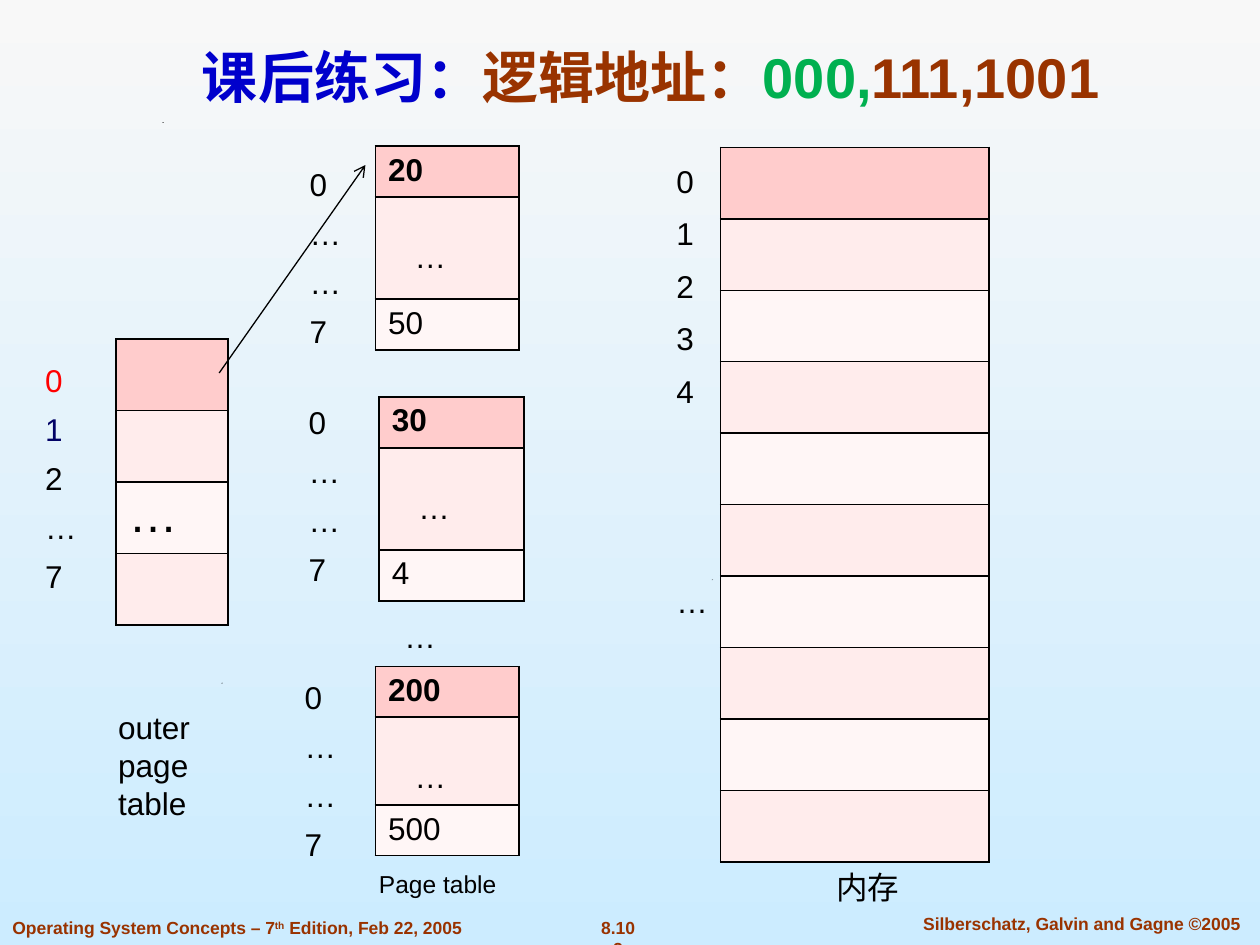
"""Build the two-level paging exercise slide."""
from dataclasses import dataclass
from typing import Optional

from lxml.etree import SubElement
from pptx import Presentation
from pptx.dml.color import RGBColor
from pptx.enum.shapes import MSO_CONNECTOR
from pptx.enum.text import MSO_ANCHOR, MSO_AUTO_SIZE, PP_ALIGN
from pptx.oxml.ns import qn
from pptx.util import Inches, Pt


@dataclass(frozen=True)
class Theme:
    font: str = "Arial"
    black: str = "000000"
    red: str = "FF0000"
    navy: str = "020266"
    blue: str = "0000CC"
    brown: str = "993300"
    green: str = "00B050"
    top: str = "F8F8F8"
    bottom: str = "CCECFF"
    head: str = "FFCCCC"
    bands: tuple = ("FFF6F6", "FFECEC")
    title: int = 32
    big: int = 28
    body: int = 18
    caption: int = 14
    footer: int = 10


T = Theme()


@dataclass(frozen=True)
class Run:
    text: str
    color: str = T.black
    size: int = T.body
    bold: bool = False
    raised: bool = False


@dataclass(frozen=True)
class Box:
    left: float
    top: float
    width: float
    height: float

    def emu(self) -> tuple:
        return tuple(grid(v) for v in (self.left, self.top, self.width, self.height))


@dataclass(frozen=True)
class Cell:
    run: Optional[Run] = None
    left: float = 1
    top: float = 0.5


@dataclass(frozen=True)
class PageTable:
    box: Box
    first: str
    last: str
    shares: tuple
    labels: Box


def grid(n: float) -> int:
    """Length of n cells on a grid of 100 columns by 75 rows."""
    return Inches(n / 10)


def rgb(color: str) -> RGBColor:
    return RGBColor.from_string(color)


def add_runs(p, *runs: Run) -> None:
    for run in runs:
        r = p.add_run()
        r.text = run.text
        f = r.font
        f.name, f.size, f.bold = T.font, Pt(run.size), run.bold
        f.color.rgb = rgb(run.color)
        if run.raised:
            r._r.get_or_add_rPr().set("baseline", "30000")


def add_text(s, box: Box, lines: list, align=PP_ALIGN.LEFT, spacing=None,
             wrap=True, left: float = 1):
    tf = s.shapes.add_textbox(*box.emu()).text_frame
    tf.word_wrap = wrap
    tf.margin_left = grid(left)
    for i, runs in enumerate(lines):
        p = tf.add_paragraph() if i else tf.paragraphs[0]
        p.alignment = align
        if spacing:
            p.line_spacing = Pt(spacing)
        add_runs(p, *runs)
    return tf


def add_borders(cell) -> None:
    tcPr = cell._tc.get_or_add_tcPr()
    for side in ("lnL", "lnR", "lnT", "lnB"):
        ln = SubElement(tcPr, qn(f"a:{side}"), w=str(Pt(1)))
        SubElement(SubElement(ln, qn("a:solidFill")), qn("a:srgbClr"), val=T.black)


def add_column(s, box: Box, shares: tuple, cells: list) -> None:
    table = s.shapes.add_table(len(cells), 1, *box.emu()).table
    table.first_row = table.horz_banding = False
    for i, (share, item) in enumerate(zip(shares, cells)):
        table.rows[i].height = grid(box.height * share / sum(shares))
        cell = table.cell(i, 0)
        add_borders(cell)
        cell.fill.solid()
        cell.fill.fore_color.rgb = rgb(T.bands[i % 2] if i else T.head)
        cell.margin_left, cell.margin_top = grid(item.left), grid(item.top)
        if item.run:
            add_runs(cell.text_frame.paragraphs[0], item.run)


def add_page_table(s, item: PageTable) -> None:
    cells = [Cell(Run(item.first, bold=True)), Cell(Run("…"), 3.1, 3.4),
             Cell(Run(item.last))]
    add_column(s, item.box, item.shares, cells)
    add_text(s, item.labels, [[Run(c)] for c in "0……7"], spacing=28)


def add_arrow(s, start: tuple, end: tuple) -> None:
    c = s.shapes.add_connector(MSO_CONNECTOR.STRAIGHT, *map(grid, start + end))
    c.line.color.rgb, c.line.width = rgb(T.black), Pt(0.75)
    SubElement(c.line._get_or_add_ln(), qn("a:tailEnd"), type="arrow")
    SubElement(c._element.spPr, qn("a:effectLst"))


def add_speck(s, x: float, y: float) -> None:
    fb = s.shapes.build_freeform(grid(x), grid(y))
    fb.add_line_segments([(grid(x + 0.1), grid(y)), (grid(x), grid(y + 0.05))])
    sp = fb.convert_to_shape()
    sp.shadow.inherit = False
    sp.fill.solid()
    sp.fill.fore_color.rgb = rgb(T.black)
    sp.line.fill.background()


def add_background(s) -> None:
    fill = s.background.fill
    fill.gradient()
    fill.gradient_angle = 270
    for stop, color in zip(fill.gradient_stops, (T.top, T.bottom)):
        stop.color.rgb = rgb(color)


def add_title(s) -> None:
    sp = s.shapes.title
    sp.left, sp.top, sp.width, sp.height = Box(7.5, 2.5, 88.3, 6.7).emu()
    tf = sp.text_frame
    tf.auto_size, tf.vertical_anchor = MSO_AUTO_SIZE.NONE, MSO_ANCHOR.BOTTOM
    tf.paragraphs[0].alignment = PP_ALIGN.CENTER
    parts = (("课后练习：", T.blue), ("逻辑地址：", T.brown),
             ("000,", T.green), ("111,1001", T.brown))
    add_runs(tf.paragraphs[0], *(Run(t, c, T.title, True) for t, c in parts))


def add_footer(s) -> None:
    def foot(text: str, raised: bool = False) -> Run:
        return Run(text, T.brown, T.footer, True, raised)

    add_text(s, Box(46.4, 72.3, 5.3, 2.7), [[foot("8.102")]], PP_ALIGN.CENTER, wrap=False)
    add_text(s, Box(71, 72, 29.7, 2.7), [[foot("Silberschatz, Galvin and Gagne ©2005")]],
             PP_ALIGN.CENTER)
    add_text(s, Box(0, 72.3, 42.1, 2.7),
             [[foot("Operating System Concepts – 7"), foot("th", True),
               foot(" Edition, Feb 22, 2005")]])


def main() -> None:
    prs = Presentation()
    prs.slide_width, prs.slide_height = grid(100), grid(75)
    s = prs.slides.add_slide(prs.slide_layouts[5])
    add_background(s)
    for x, y in ((17.6, 54.2), (13, 46), (56.5, 46), (12.9, 9.7)):
        add_speck(s, x, y)
    add_footer(s)
    add_title(s)

    add_column(s, Box(9.2, 26.9, 8.9, 22.7), (1,) * 4,
               [Cell(), Cell(), Cell(Run("…", size=T.big)), Cell()])
    colors = (T.red, T.navy, T.black, T.black, T.black)
    add_text(s, Box(2.6, 27.3, 4.5, 24.6),
             [[Run(t, c)] for t, c in zip("012…7", colors)], spacing=28)

    for item in (
        PageTable(Box(29.8, 11.6, 11.4, 16.2), "20", "50", (1, 2, 1),
                  Box(23.6, 11.7, 4.5, 16.7)),
        PageTable(Box(30.1, 31.5, 11.5, 16.2), "30", "4", (1, 2, 1),
                  Box(23.5, 30.6, 4.5, 16.7)),
        PageTable(Box(29.8, 52.9, 11.4, 15), "200", "500", (4, 7, 4),
                  Box(23.2, 52.4, 4.5, 16.7)),
    ):
        add_page_table(s, item)
    add_text(s, Box(29, 48.5, 12.9, 4), [[Run("…")]], left=3.1)

    add_column(s, Box(57.2, 11.7, 21.3, 56.7), (1,) * 10, [Cell()] * 10)
    tf = add_text(s, Box(52.7, 11.2, 4.5, 55.7), [[Run(c)] for c in "01234…"], spacing=30)
    tf.paragraphs[-1].space_before = Pt(3 * 30)

    add_text(s, Box(65.4, 68.4, 20.5, 4), [[Run("内存")]])
    add_text(s, Box(29.1, 68.5, 13, 3.4), [[Run("Page table", size=T.caption)]])
    add_text(s, Box(8.4, 55.7, 13.4, 10.1), [[Run("outer page table")]])
    add_arrow(s, (17.4, 29.6), (29, 13.1))
    prs.save("out.pptx")


if __name__ == "__main__":
    main()
